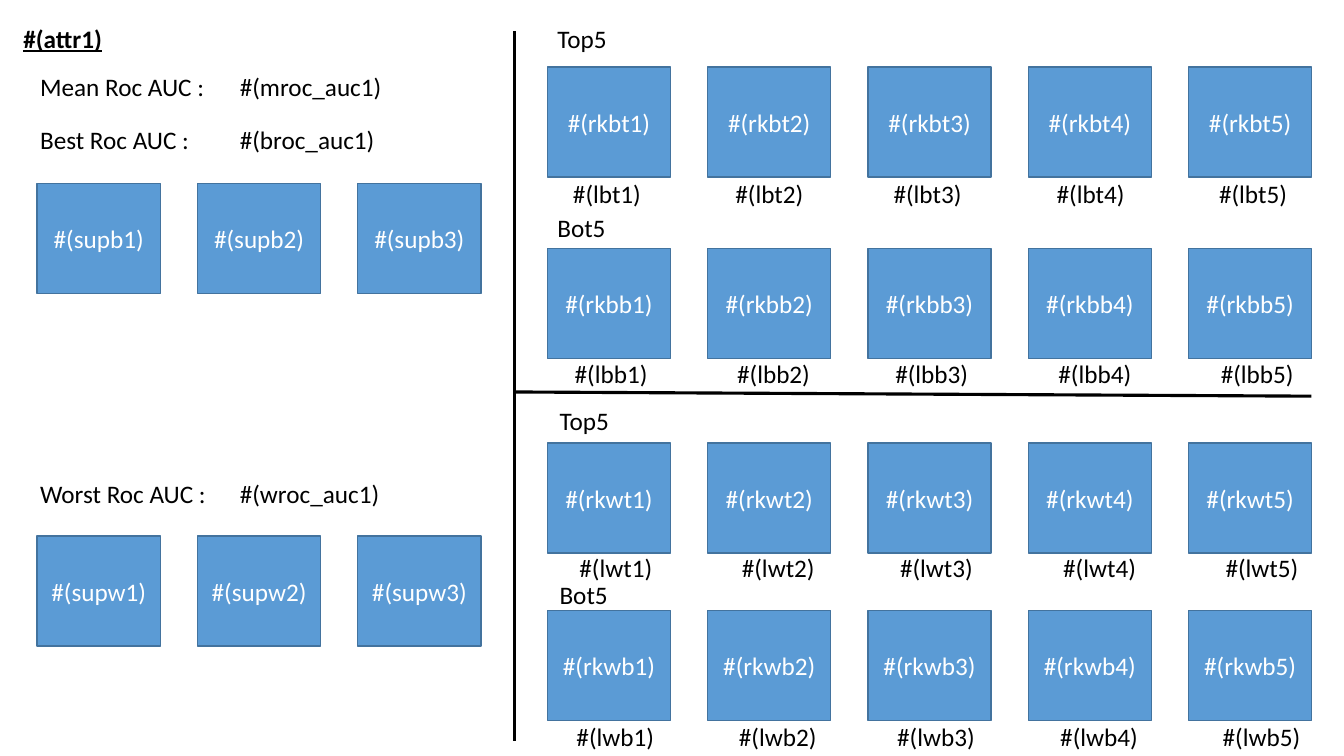
from pptx import Presentation
from pptx.dml.color import RGBColor
from pptx.enum.shapes import MSO_CONNECTOR as Connector, MSO_SHAPE as Shape
from pptx.enum.text import MSO_ANCHOR as Anchor, MSO_AUTO_SIZE as AutoSize, PP_ALIGN as Align
from pptx.oxml.ns import qn
from pptx.util import Pt
from lxml import etree

BLACK, WHITE, BLUE, DARK_BLUE = "000000", "FFFFFF", "5B9BD5", "43739E"
TILE_WIDTH, TILE_HEIGHT, TILE_STEP = 88, 78.6, 114.5
TEXT_HEIGHT = 29
SUPPORT_LEFT, RANK_LEFT = 26.6, 391
LABEL_OFFSETS = (0, 116, 229, 345.5, 461.5)

# Row key, heading, heading position, tile top, first label position
RANK_ROWS = [
    ("bt", "Top5", (391, 13), 48, (394.6, 123.5)),
    ("bb", "Bot5", (391, 148.3), 177.6, (397.6, 252.4)),
    ("wt", "Top5", (392.6, 285.8), 316.5, (401, 390.6)),
    ("wb", "Bot5", (392.6, 410.4), 436, (400.6, 511.6)),
]
# Caption, value, top
SCORES = [
    ("Mean Roc AUC :", "#(mroc_auc1)", 47.5),
    ("Best Roc AUC :", "#(broc_auc1)", 85),
    ("Worst Roc AUC :", "#(wroc_auc1)", 338.4),
]


def color(value):
    return RGBColor.from_string(value)


def write(shape, text, font_color=BLACK, align=Align.LEFT, anchor=Anchor.TOP):
    frame = shape.text_frame
    frame.text = text
    frame.vertical_anchor = anchor
    paragraph = frame.paragraphs[0]
    paragraph.alignment = align
    font = paragraph.runs[0].font
    font.name, font.size = "Calibri", Pt(18)
    font.color.rgb = color(font_color)
    return font


def add_title(slide, text, left, top, width):
    title = slide.shapes.title
    title.left, title.top = Pt(left), Pt(top)
    title.width, title.height = Pt(width), Pt(TEXT_HEIGHT)
    title.text_frame.auto_size = AutoSize.NONE
    font = write(title, text)
    font.bold = font.underline = True


def add_label(slide, text, left, top, width, align=Align.LEFT, wrap=True):
    box = slide.shapes.add_textbox(Pt(left), Pt(top), Pt(width), Pt(TEXT_HEIGHT))
    box.text_frame.word_wrap = wrap
    write(box, text, align=align)


def add_tile(slide, text, left, top):
    tile = slide.shapes.add_shape(
        Shape.RECTANGLE, Pt(left), Pt(top), Pt(TILE_WIDTH), Pt(TILE_HEIGHT))
    tile.shadow.inherit = False
    tile.fill.solid()
    tile.fill.fore_color.rgb = color(BLUE)
    tile.line.color.rgb = color(DARK_BLUE)
    tile.line.width = Pt(1)
    write(tile, text, WHITE, Align.CENTER, Anchor.MIDDLE)


def add_tile_row(slide, key, count, left, top):
    for index in range(count):
        add_tile(slide, f"#({key}{index + 1})", left + index * TILE_STEP, top)


def add_divider(slide, start, end):
    line = slide.shapes.add_connector(
        Connector.STRAIGHT, *(Pt(value) for value in (*start, *end)))
    line.line.color.rgb = color(BLACK)
    line.line.width = Pt(2.25)
    etree.SubElement(line._element.spPr, qn("a:effectLst"))


def main():
    presentation = Presentation()
    presentation.slide_width, presentation.slide_height = Pt(960), Pt(540)
    slide = presentation.slides.add_slide(presentation.slide_layouts[5])

    # Attribute name and scores
    add_title(slide, "#(attr1)", 9.4, 13, 352)
    for caption, value, top in SCORES:
        add_label(slide, caption, 21.6, top, 133.5, wrap=False)
        add_label(slide, value, 164.2, top, 170)

    # Best and worst support tiles
    add_tile_row(slide, "supb", 3, SUPPORT_LEFT, 131)
    add_tile_row(slide, "supw", 3, SUPPORT_LEFT, 383)

    # Dividers
    add_divider(slide, (367.2, 22.3), (367.2, 529.2))
    add_divider(slide, (367.2, 280), (936.7, 283))

    # Ranked tiles with their headings and labels
    for key, heading, heading_position, tile_top, (label_left, label_top) in RANK_ROWS:
        add_label(slide, heading, *heading_position, 95)
        add_tile_row(slide, f"rk{key}", 5, RANK_LEFT, tile_top)
        for number, offset in enumerate(LABEL_OFFSETS, 1):
            add_label(slide, f"#(l{key}{number})", label_left + offset, label_top,
                      77.8, Align.CENTER)

    presentation.save("out.pptx")


main()
